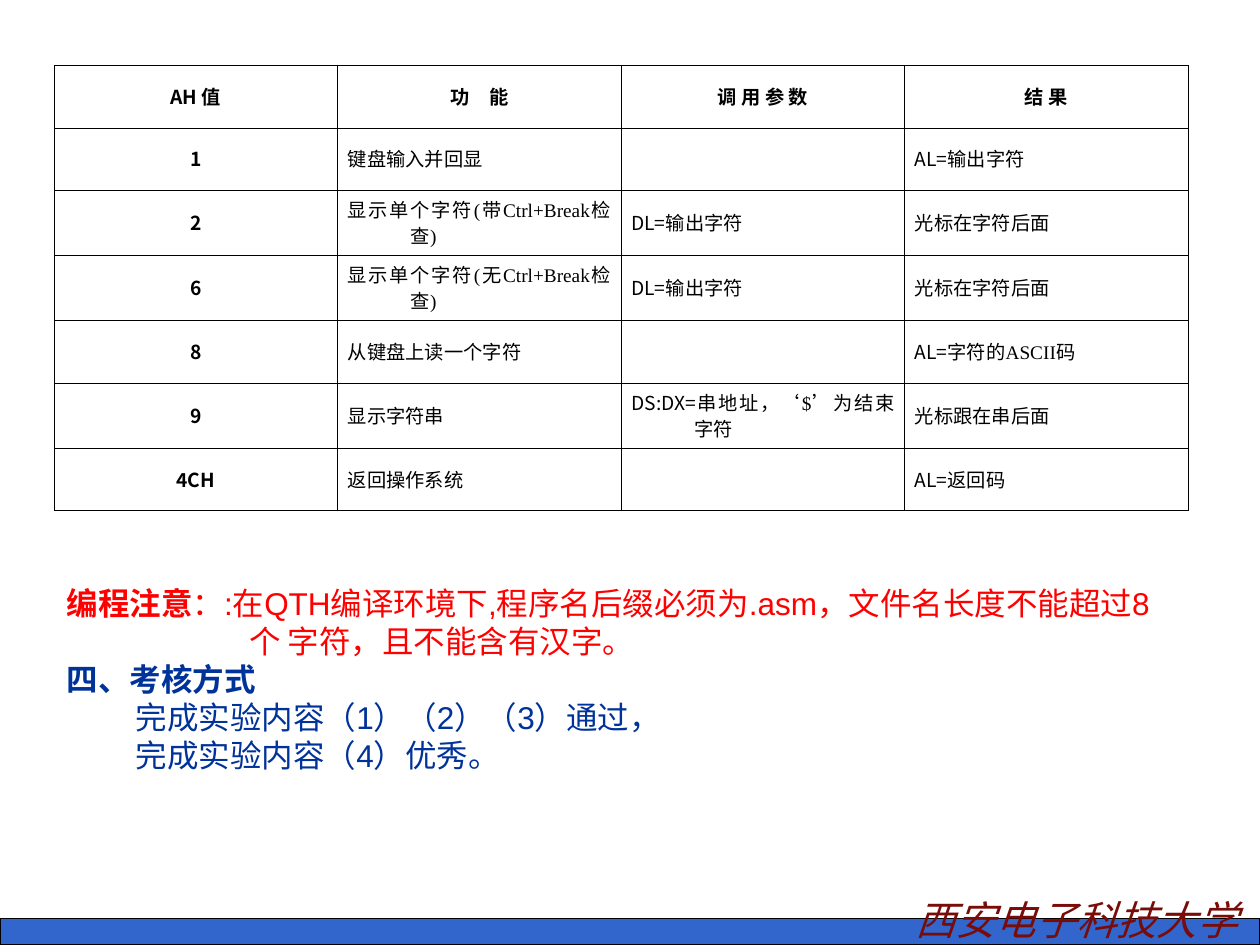
from pptx import Presentation
from pptx.dml.color import RGBColor
from pptx.enum import shapes, text
from pptx.oxml import parse_xml
from pptx.oxml.ns import nsdecls, qn
from pptx.util import Inches, Pt

BLACK = RGBColor(0x00, 0x00, 0x00)
WHITE = RGBColor(0xFF, 0xFF, 0xFF)
BAR_BLUE = RGBColor(0x33, 0x66, 0xCC)
TEXT_BLUE = RGBColor(0x00, 0x33, 0x99)
RED = RGBColor(0xFF, 0x00, 0x00)
MAROON = RGBColor(0x79, 0x0C, 0x09)

CJK_FONT = "Noto Sans CJK SC"
SERIF_FONT = "Times New Roman"
SANS_FONT = "Arial"

SYSTEM_CALLS = [
    ("AH 值", "功　能", "调 用 参 数", "结 果"),
    ("1", "键盘输入并回显", "", "AL=输出字符"),
    ("2", "显示单个字符(带Ctrl+Break检查)", "DL=输出字符", "光标在字符后面"),
    ("6", "显示单个字符(无Ctrl+Break检查)", "DL=输出字符", "光标在字符后面"),
    ("8", "从键盘上读一个字符", "", "AL=字符的ASCII码"),
    ("9", "显示字符串", "DS:DX=串地址，‘$’为结束字符", "光标跟在串后面"),
    ("4CH", "返回操作系统", "", "AL=返回码"),
]

NOTES = [
    (0, RED, [("编程注意", True),
              ("：:在QTH编译环境下,程序名后缀必须为.asm，文件名长度不能超过8", False)]),
    (1.45, RED, [("个 字符，且不能含有汉字。", False)]),
    (0, TEXT_BLUE, [("四、考核方式", True)]),
    (0.55, TEXT_BLUE, [("完成实验内容（1）（2）（3）通过，", False)]),
    (0.55, TEXT_BLUE, [("完成实验内容（4）优秀。", False)]),
]


def add_run(paragraph, content, latin_font, size, color, bold=False, italic=False):
    run = paragraph.add_run()
    run.text = content
    font = run.font
    font.size, font.bold, font.italic = Pt(size), bold, italic
    font.color.rgb = color
    font.name = latin_font
    font._element.find(qn("a:latin")).addnext(
        parse_xml(f'<a:ea {nsdecls("a")} typeface="{CJK_FONT}"/>'))


def set_indent(paragraph, left, first_line=0):
    properties = paragraph._p.get_or_add_pPr()
    properties.set("marL", str(Inches(left)))
    properties.set("indent", str(Inches(first_line)))


def set_borders(cell, width, color):
    properties = cell._tc.get_or_add_tcPr()
    for index, side in enumerate(("lnL", "lnR", "lnT", "lnB")):
        properties.insert(index, parse_xml(
            f'<a:{side} {nsdecls("a")} w="{Pt(width)}"><a:solidFill>'
            f'<a:srgbClr val="{color}"/></a:solidFill></a:{side}>'))


def fill_cell(cell, content, is_heading):
    cell.fill.solid()
    cell.fill.fore_color.rgb = WHITE
    set_borders(cell, 0.45, BLACK)
    cell.vertical_anchor = text.MSO_ANCHOR.MIDDLE
    cell.margin_left = cell.margin_right = Inches(0.08)
    cell.margin_top = cell.margin_bottom = Inches(0.05)
    if not content:
        return
    paragraph = cell.text_frame.paragraphs[0]
    paragraph.alignment = text.PP_ALIGN.CENTER if is_heading else text.PP_ALIGN.JUSTIFY
    paragraph.line_spacing = Pt(15)
    set_indent(paragraph, 0.5, -0.5)
    if is_heading:
        add_run(paragraph, content, CJK_FONT, 11, BLACK, bold=True)
        return
    register, equals, description = content.rpartition("=")
    if equals:
        add_run(paragraph, register + equals, CJK_FONT, 11, BLACK)
    add_run(paragraph, description, SERIF_FONT, 11, BLACK)


def add_call_table(slide, left, top, width, height):
    table = slide.shapes.add_table(
        len(SYSTEM_CALLS), len(SYSTEM_CALLS[0]), left, top, width, height).table
    table.first_row = table.horz_banding = False
    for row, values in enumerate(SYSTEM_CALLS):
        for column, value in enumerate(values):
            fill_cell(table.cell(row, column), value, row == 0 or column == 0)


def add_notes(slide, left, top, width, height):
    frame = slide.shapes.add_textbox(left, top, width, height).text_frame
    frame.word_wrap = True
    frame.margin_top = Inches(0.25)
    for index, (indent, color, pieces) in enumerate(NOTES):
        paragraph = frame.add_paragraph() if index else frame.paragraphs[0]
        paragraph.line_spacing = Pt(21.7)
        set_indent(paragraph, indent)
        for content, bold in pieces:
            add_run(paragraph, content, SANS_FONT, 18, color, bold=bold)


def add_footer(slide, left, top, width, height):
    bar = slide.shapes.add_shape(
        shapes.MSO_SHAPE.RECTANGLE, left, top, width, height)
    bar.shadow.inherit = False
    bar.fill.solid()
    bar.fill.fore_color.rgb = BAR_BLUE
    bar.line.color.rgb = BLACK
    bar.line.width = Pt(0.75)

    name_width = Inches(3.15)
    frame = slide.shapes.add_textbox(
        left + width - name_width + Inches(0.12), top - Inches(0.24),
        name_width, Inches(0.49)).text_frame
    frame.word_wrap = True
    frame.vertical_anchor = text.MSO_ANCHOR.MIDDLE
    frame.margin_top = frame.margin_bottom = 0
    paragraph = frame.paragraphs[0]
    paragraph.alignment = text.PP_ALIGN.CENTER
    add_run(paragraph, "西安电子科技大学", CJK_FONT, 23, MAROON, italic=True)


def main():
    presentation = Presentation()
    presentation.slide_width = Inches(10)
    presentation.slide_height = Inches(7.5)
    slide = presentation.slides.add_slide(presentation.slide_layouts[6])
    add_footer(slide, 0, Inches(7.29), Inches(10), Inches(0.21))
    add_notes(slide, Inches(0.43), Inches(4.38), Inches(9), Inches(1.97))
    add_call_table(slide, Inches(0.43), Inches(0.52), Inches(9), Inches(3.47))
    presentation.save("out.pptx")


if __name__ == "__main__":
    main()
